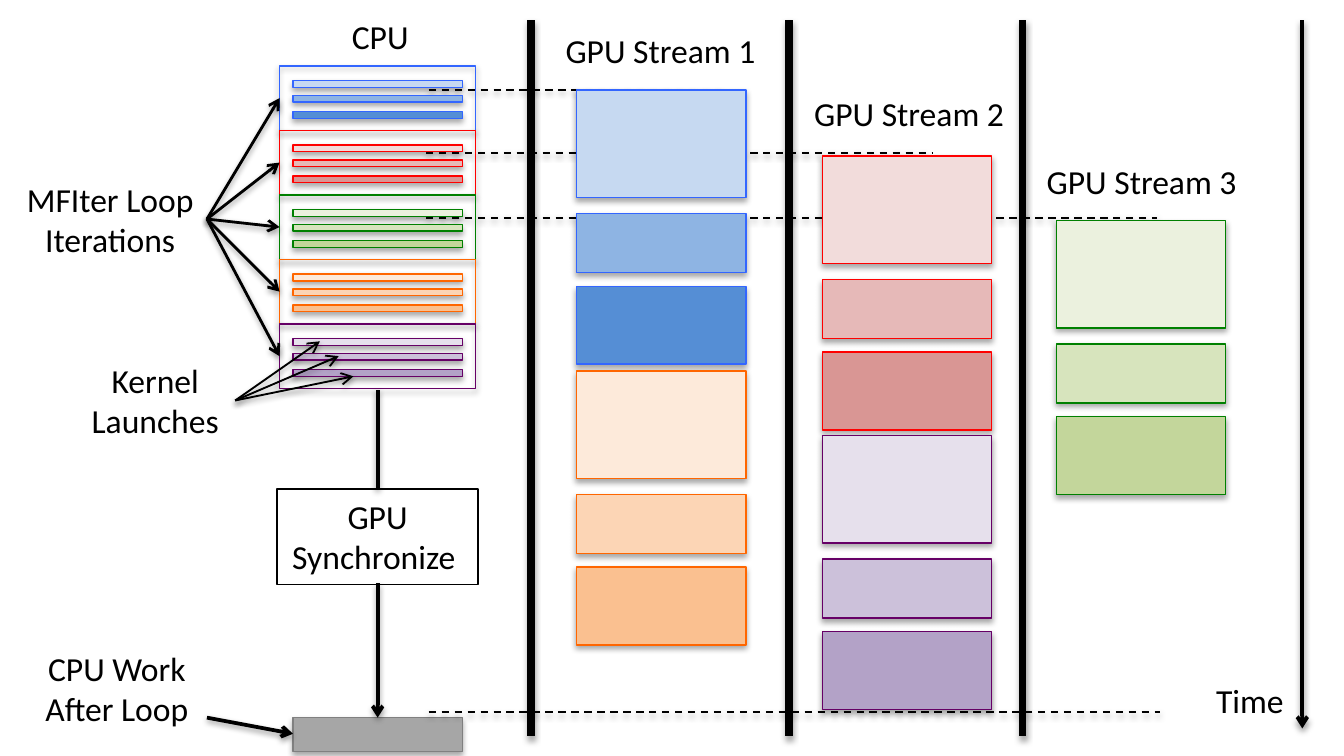
from lxml import etree
from pptx import Presentation
from pptx import util as u
from pptx.dml.color import RGBColor
from pptx.enum import dml, shapes, text
from pptx.oxml import ns

PX = u.Inches(1) // 100
BLACK = RGBColor(0x00, 0x00, 0x00)
GRAY = RGBColor(0xA6, 0xA6, 0xA6)
DARK_GRAY = RGBColor(0x80, 0x80, 0x80)
# Each loop iteration: outline, three kernel fills, left and top of its GPU blocks
ITERATIONS = [
    (RGBColor(0x33, 0x66, 0xFF), (RGBColor(0xC6, 0xD9, 0xF1), RGBColor(0x8E, 0xB4, 0xE3),
                                  RGBColor(0x55, 0x8E, 0xD5)), 429, 67),
    (RGBColor(0xFF, 0x00, 0x00), (RGBColor(0xF2, 0xDC, 0xDB), RGBColor(0xE6, 0xB9, 0xB8),
                                  RGBColor(0xD9, 0x96, 0x94)), 612, 116),
    (RGBColor(0x00, 0x80, 0x00), (RGBColor(0xEB, 0xF1, 0xDE), RGBColor(0xD7, 0xE4, 0xBD),
                                  RGBColor(0xC3, 0xD6, 0x9B)), 786, 164),
    (RGBColor(0xFF, 0x66, 0x00), (RGBColor(0xFD, 0xEA, 0xDA), RGBColor(0xFC, 0xD5, 0xB5),
                                  RGBColor(0xFA, 0xC0, 0x90)), 429, 276),
    (RGBColor(0x66, 0x00, 0x66), (RGBColor(0xE6, 0xE0, 0xEC), RGBColor(0xCC, 0xC1, 0xDA),
                                  RGBColor(0xB3, 0xA2, 0xC7)), 612, 324),
]
LAUNCHES = [(11, 5), (22, 5), (34, 5)]  # offset and height inside an iteration
KERNELS = [(0, 80), (92, 44), (146, 58)]  # offset and height inside a stream

prs = Presentation()
prs.slide_width = 1000 * PX
prs.slide_height = prs.slide_width * 9 // 16
slide = prs.slides.add_slide(prs.slide_layouts[6])


def add_line(x1, y1, x2, y2, width, dashed=False, arrow=False):
    """Draw a black line with a soft shadow below it."""
    line = slide.shapes.add_connector(
        shapes.MSO_CONNECTOR.STRAIGHT, x1 * PX, y1 * PX, x2 * PX, y2 * PX)
    line.line.width = u.Pt(width)
    line.line.color.rgb = BLACK
    if dashed:
        line.line.dash_style = dml.MSO_LINE.DASH
    if arrow:
        etree.SubElement(line.line._get_or_add_ln(), ns.qn("a:tailEnd"), type="arrow")
    effects = etree.SubElement(line._element.spPr, ns.qn("a:effectLst"))
    shadow = etree.SubElement(effects, ns.qn("a:outerShdw"), blurRad="40000",
                              dist="20000", dir="5400000", rotWithShape="0")
    color = etree.SubElement(shadow, ns.qn("a:srgbClr"), val="000000")
    etree.SubElement(color, ns.qn("a:alpha"), val="38000")


def add_box(x, y, width, height, outline, fill=None):
    """Draw a rectangle with a soft shadow, hollow if it has no fill."""
    box = slide.shapes.add_shape(
        shapes.MSO_SHAPE.RECTANGLE, x * PX, y * PX, width * PX, height * PX)
    if fill is None:
        box.fill.background()
    else:
        box.fill.solid()
        box.fill.fore_color.rgb = fill
    box.line.color.rgb = outline
    box.line.width = u.Pt(0.75)
    box.shadow.inherit = False
    effects = box._element.spPr.find(ns.qn("a:effectLst"))
    shadow = etree.SubElement(effects, ns.qn("a:outerShdw"), blurRad="40000",
                              dist="23000", dir="5400000", rotWithShape="0")
    color = etree.SubElement(shadow, ns.qn("a:srgbClr"), val="000000")
    etree.SubElement(color, ns.qn("a:alpha"), val="35000")


# Start of each stream's work
for x1, x2, y in [(317, 861, 162), (319, 539, 67), (317, 694, 114)]:
    add_line(x1, y, x2, y, 1, dashed=True)

# Loop iterations on the CPU and their kernels on the GPU
for i, (outline, fills, stream_x, stream_y) in enumerate(ITERATIONS):
    loop_y = 49 + 48 * i
    add_box(208, loop_y, 146, 48, outline)
    for fill, (offset, height) in zip(fills, LAUNCHES):
        add_box(218, loop_y + offset, 126, height, outline, fill)
    for fill, (offset, height) in zip(fills, KERNELS):
        add_box(stream_x, stream_y + offset, 126, height, outline, fill)

add_box(218, 534, 126, 25, DARK_GRAY, GRAY)

# Stream separators and time axis
for x in (395, 587, 761):
    add_line(x, 15, x, 548, 4)
add_line(969, 15, 969, 542, 2, arrow=True)

# Labels: left, top, width, height, wrapped and centred, lines
LABELS = [
    (252, 7, 63, 40, False, ["CPU"]),
    (411, 17, 163, 40, False, ["GPU Stream 1"]),
    (596, 64, 163, 40, False, ["GPU Stream 2"]),
    (769, 115, 163, 40, False, ["GPU Stream 3"]),
    (895, 501, 71, 40, False, ["Time"]),
    (206, 364, 150, 71, True, ["GPU", "Synchronize "]),
    (10, 477, 154, 71, True, ["CPU Work After Loop"]),
    (10, 128, 144, 71, True, ["MFIter Loop Iterations"]),
    (56, 263, 119, 71, True, ["Kernel Launches"]),
]
for x, y, width, height, wrapped, lines in LABELS:
    label = slide.shapes.add_textbox(x * PX, y * PX, width * PX, height * PX)
    frame = label.text_frame
    frame.word_wrap = wrapped
    frame.auto_size = text.MSO_AUTO_SIZE.SHAPE_TO_FIT_TEXT
    for i, words in enumerate(lines):
        paragraph = frame.add_paragraph() if i else frame.paragraphs[0]
        if wrapped:
            paragraph.alignment = text.PP_ALIGN.CENTER
        run = paragraph.add_run()
        run.text = words
        run.font.name = "Calibri"
        run.font.size = u.Pt(18)
        run.font.color.rgb = BLACK
    if lines[0] == "GPU":
        label.line.color.rgb = BLACK
        label.line.width = u.Pt(1)

# CPU flow through the synchronize step
add_line(281, 364, 281, 290, 2)
add_line(281, 434, 281, 534, 2, arrow=True)

# Pointers from the labels
for i in range(len(ITERATIONS)):
    add_line(154, 163, 208, 73 + 48 * i, 1.5, arrow=True)
for x, y in [(238, 254), (252, 265), (263, 280)]:
    add_line(175, 298, x, y, 1, arrow=True)
add_line(154, 534, 218, 546, 2, arrow=True)

# End of all streams
add_line(319, 530, 863, 530, 1, dashed=True)

prs.save("out.pptx")
